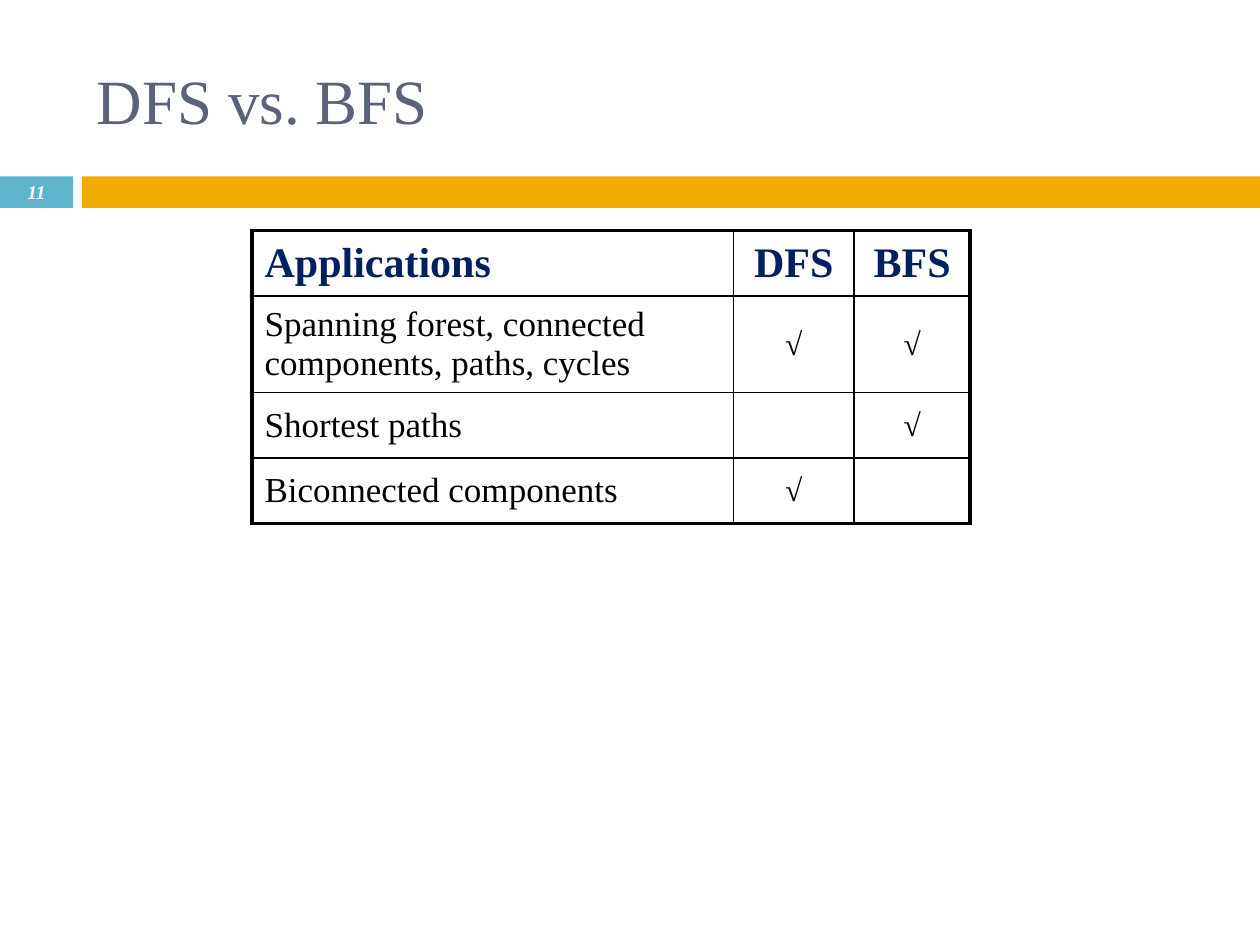
from dataclasses import dataclass

from lxml.etree import SubElement
from pptx import Presentation
from pptx.dml.color import RGBColor
from pptx.enum.shapes import MSO_SHAPE
from pptx.enum.text import MSO_ANCHOR, PP_ALIGN
from pptx.oxml.ns import qn
from pptx.util import Inches, Pt


@dataclass(frozen=True)
class Theme:
    """Colours, type sizes and line widths of the slide."""
    font: str = "Times New Roman"
    number_tab: str = "60B5CC"
    band: str = "F0AD00"
    title: str = "5A6378"
    heading: str = "002060"
    ink: str = "000000"
    paper: str = "FFFFFF"
    title_size: float = 36
    heading_size: float = 24
    body_size: float = 20
    check_size: float = 18
    number_size: float = 11.1
    outer_line: float = 2.25
    inner_line: float = 1


THEME = Theme()
APPLICATIONS = [
    ("Applications", "DFS", "BFS"),
    ("Spanning forest, connected components, paths, cycles", "√", "√"),
    ("Shortest paths", "", "√"),
    ("Biconnected components", "√", ""),
]
COLUMN_WIDTHS = (3.82, 0.96, 0.92)
ROW_HEIGHTS = (0.52, 0.72, 0.52, 0.52)


def write(frame, wording, color, align=PP_ALIGN.LEFT, **font_format):
    """Write one formatted paragraph into a text frame."""
    paragraph = frame.paragraphs[0]
    paragraph.alignment = align
    run = paragraph.add_run()
    run.text = wording
    for attribute, value in {"name": THEME.font, **font_format}.items():
        setattr(run.font, attribute, value)
    run.font.color.rgb = RGBColor.from_string(color)


def add_bar(slide, left, width, color):
    """Add one plain bar of the divider under the title."""
    bar = slide.shapes.add_shape(
        MSO_SHAPE.RECTANGLE, Inches(left), Inches(1.4), Inches(width), Inches(0.25))
    bar.shadow.inherit = False
    bar.fill.solid()
    bar.fill.fore_color.rgb = RGBColor.from_string(color)
    bar.line.fill.background()


def add_label(slide, box, wording, color, **text_format):
    """Add a vertically centred, wrapping text box."""
    frame = slide.shapes.add_textbox(*map(Inches, box)).text_frame
    for attribute, value in {"word_wrap": True, "vertical_anchor": MSO_ANCHOR.MIDDLE}.items():
        setattr(frame, attribute, value)
    write(frame, wording, color, **text_format)


def draw_borders(cell, outer_sides):
    """Draw four cell borders, heavier on the table's outer sides."""
    properties = cell._tc.get_or_add_tcPr()
    for position, side in enumerate("LRTB"):
        width = THEME.outer_line if side in outer_sides else THEME.inner_line
        border = SubElement(properties, qn(f"a:ln{side}"), w=str(Pt(width)))
        fill = SubElement(border, qn("a:solidFill"))
        SubElement(fill, qn("a:srgbClr"), val=THEME.ink)
        properties.insert(position, border)


def cell_format(row, column):
    """Return the text format for a place in the table."""
    align = PP_ALIGN.CENTER if column else PP_ALIGN.LEFT
    if row == 0:
        return {"color": THEME.heading, "size": Pt(THEME.heading_size), "bold": True, "align": align}
    size = THEME.check_size if column else THEME.body_size
    return {"color": THEME.ink, "size": Pt(size), "bold": column > 0, "align": align}


def add_comparison(slide):
    """Add the table of applications for both searches."""
    last_row, last_column = len(ROW_HEIGHTS) - 1, len(COLUMN_WIDTHS) - 1
    table = slide.shapes.add_table(
        last_row + 1, last_column + 1, Inches(2), Inches(1.83),
        Inches(sum(COLUMN_WIDTHS)), Inches(sum(ROW_HEIGHTS))).table
    for attribute in ("first_row", "horz_banding"):
        setattr(table, attribute, False)
    for column, width in zip(table.columns, COLUMN_WIDTHS):
        column.width = Inches(width)
    for row, height in zip(table.rows, ROW_HEIGHTS):
        row.height = Inches(height)
    for r, entries in enumerate(APPLICATIONS):
        for c, entry in enumerate(entries):
            cell = table.cell(r, c)
            cell.vertical_anchor = MSO_ANCHOR.MIDDLE
            cell.fill.background()
            edges = {"L": c == 0, "R": c == last_column, "T": r == 0, "B": r == last_row}
            draw_borders(cell, [side for side, outer in edges.items() if outer])
            if entry:
                write(cell.text_frame, entry, **cell_format(r, c))


def main():
    """Build and save the slide."""
    deck = Presentation()
    deck.slide_width, deck.slide_height = Inches(10), Inches(7.5)
    slide = deck.slides.add_slide(deck.slide_layouts[6])
    add_bar(slide, 0, 0.58, THEME.number_tab)
    add_bar(slide, 0.65, 9.35, THEME.band)
    add_label(slide, (0, 1.39, 0.58, 0.27), "11", THEME.paper, align=PP_ALIGN.CENTER,
              size=Pt(THEME.number_size), bold=True, italic=True)
    add_label(slide, (0.67, 0.25, 8.92, 1.08), "DFS vs. BFS", THEME.title,
              size=Pt(THEME.title_size))
    add_comparison(slide)
    deck.save("out.pptx")


if __name__ == "__main__":
    main()
